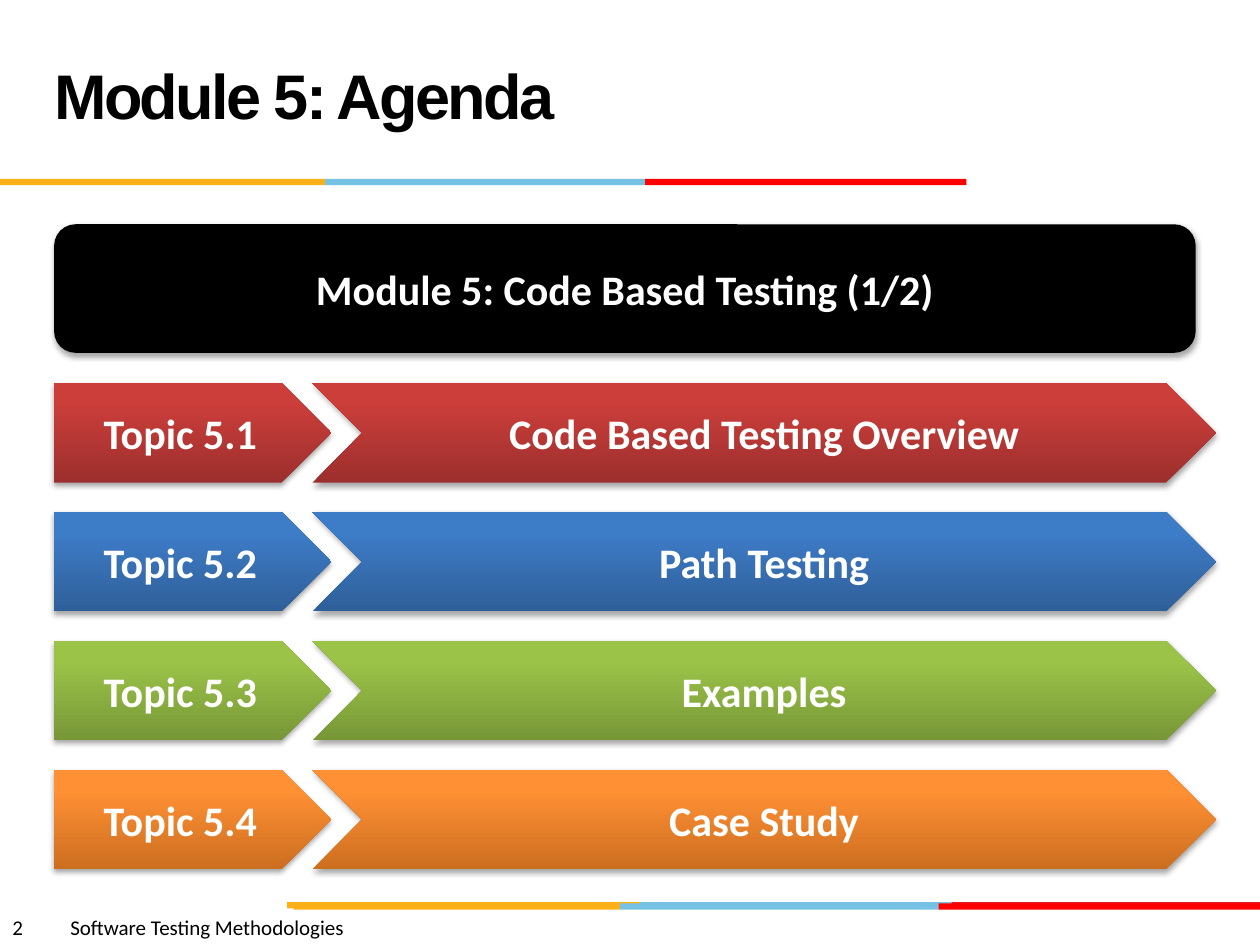
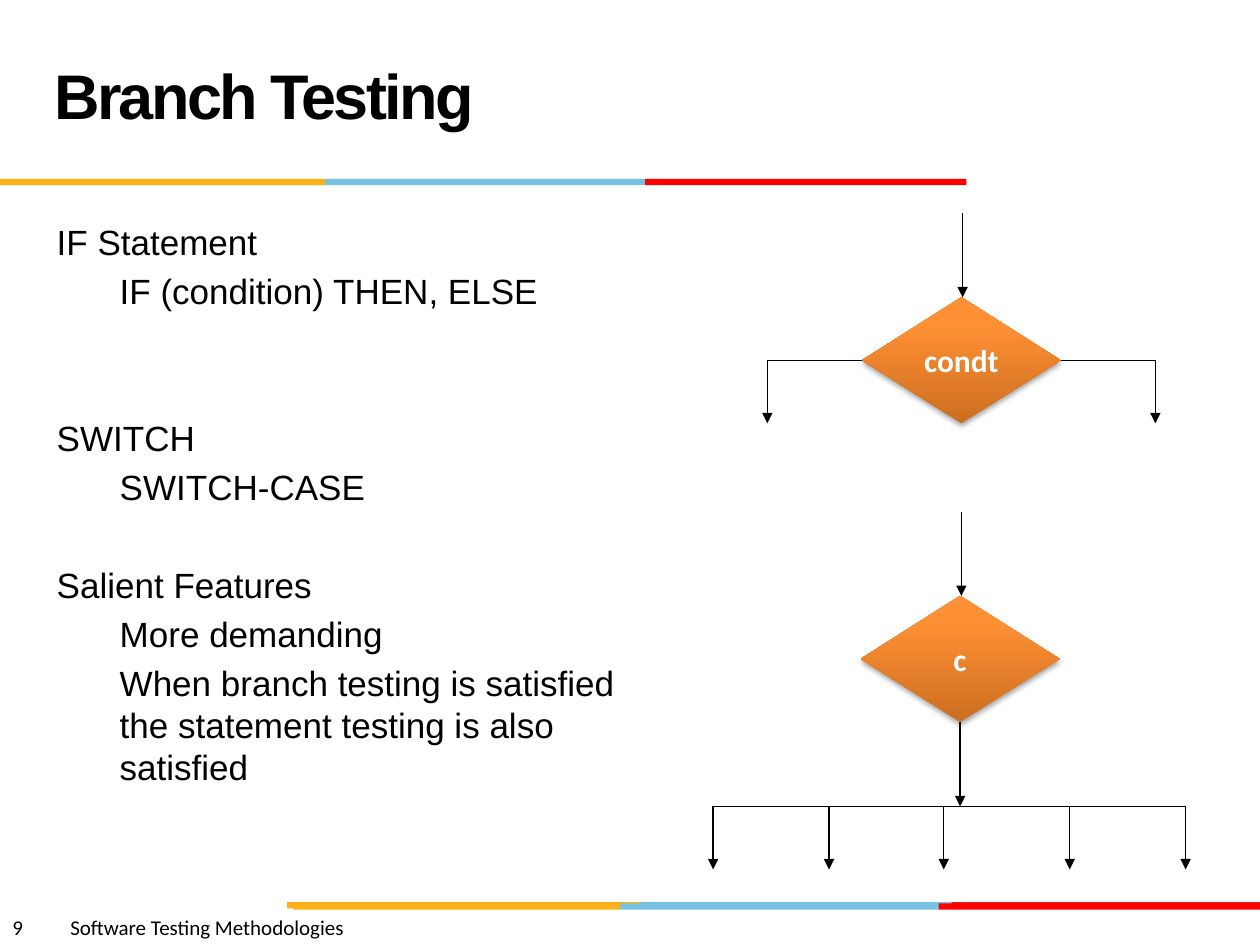
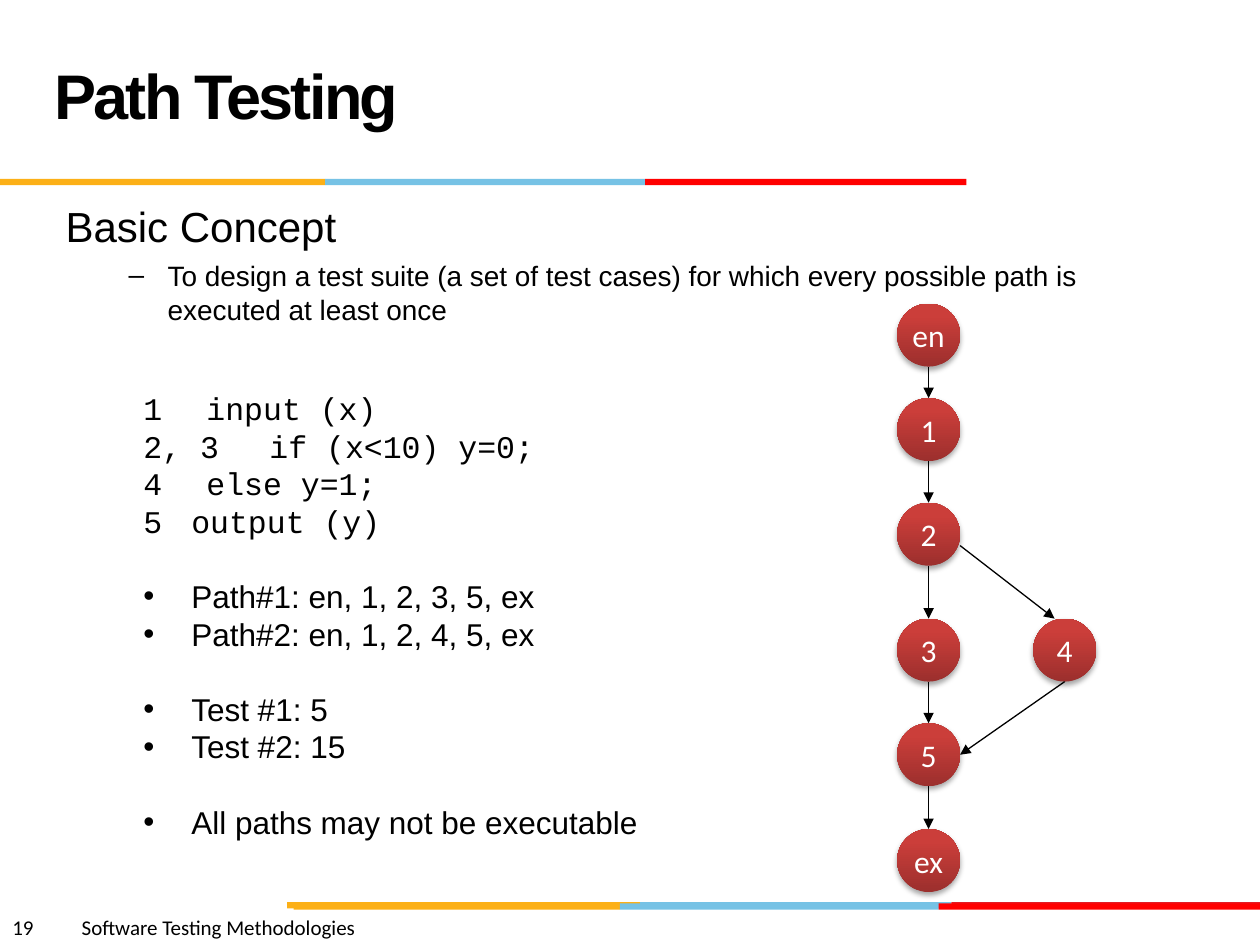
from itertools import pairwise

from lxml.etree import SubElement
from pptx import Presentation
from pptx.dml.color import RGBColor
from pptx.enum.shapes import MSO_CONNECTOR as Line, MSO_SHAPE as Shape
from pptx.enum.text import MSO_ANCHOR as Anchor, MSO_AUTO_SIZE as Fit, PP_ALIGN as Align
from pptx.oxml.ns import qn
from pptx.util import Inches, Pt

BLACK, WHITE = "000000", "FFFFFF"
GOLD, SKY, RED = "FCB017", "76C2E5", "FF0000"
# Dark and light end of each gradient
BRICK = ("9C2F2D", "CB3E3A")
BLUE = ("2F5F99", "3D7CC7")
GREEN = ("779737", "9BC348")
ORANGE = ("CC6E20", "FF9034")

HEAD = {"size": 20, "line": 24}
SUB = {"size": 20, "line": 24, "level": 1, "left": 0.5}
CODE = {"size": 18, "line": 21.5, "font": "Courier New"}
ITEM = {"size": 18, "line": 21.5, "left": 0.38, "hang": 0.38, "bullet": "•"}


def rgb(code):
    return RGBColor.from_string(code)


def inches(*sizes):
    return [Inches(size) for size in sizes]


def style(para, size, font, color=BLACK, bold=False):
    for run in para.runs:
        run.font.size = Pt(size)
        run.font.name = font
        run.font.bold = bold
        run.font.color.rgb = rgb(color)


def add_tab(props, at):
    tabs = SubElement(props, qn("a:tabLst"))
    SubElement(tabs, qn("a:tab"), pos=str(Inches(at)), algn="l")


def write(para, text, gap=0, size=18, line=21.5, font="Arial", level=0,
          left=0, hang=0, bullet=None, start=None, tab=None):
    """Set one list paragraph; gap and line are in points."""
    para.text = text
    para.level = level
    para.alignment = Align.LEFT
    para.line_spacing = Pt(line)
    para.space_before = Pt(gap)
    props = para._p.get_or_add_pPr()
    props.set("marL", str(Inches(left)))
    props.set("indent", str(-Inches(hang)))
    if bullet:
        SubElement(props, qn("a:buFont"), typeface="Arial")
        SubElement(props, qn("a:buChar"), char=bullet)
    elif start:
        SubElement(props, qn("a:buAutoNum"), type="arabicPlain", startAt=str(start))
    else:
        SubElement(props, qn("a:buNone"))
    if tab:
        add_tab(props, tab)
    style(para, size, font)


def write_list(box, rows):
    """Fill a box from rows of text, gap before and look."""
    frame = box.text_frame
    frame.word_wrap = True
    frame.auto_size = Fit.NONE
    frame.vertical_anchor = Anchor.TOP
    for i, (text, gap, look) in enumerate(rows):
        para = frame.add_paragraph() if i else frame.paragraphs[0]
        write(para, text, gap, **look)


def place(box, left, top, width, height):
    box.left, box.top, box.width, box.height = inches(left, top, width, height)
    return box


def add_block(slide, kind, box, text, fill, size=24, bold=True, wrap=True):
    """Add a shadowed shape with a label; fill is a colour or a gradient pair."""
    shape = slide.shapes.add_shape(kind, *inches(*box))
    if isinstance(fill, str):
        shape.fill.solid()
        shape.fill.fore_color.rgb = rgb(fill)
    else:
        shape.fill.gradient()
        shape.fill.gradient_angle = 90
        for stop, spot, color in zip(shape.fill.gradient_stops, (0, 0.8), fill):
            stop.position = spot
            stop.color.rgb = rgb(color)
    shape.line.fill.background()
    shape.shadow.inherit = False
    effects = shape._element.spPr.find(qn("a:effectLst"))
    shade = SubElement(effects, qn("a:outerShdw"), blurRad=str(Pt(3.1)),
                       dist=str(Pt(1.8)), dir="5400000", rotWithShape="0")
    tint = SubElement(shade, qn("a:srgbClr"), val=BLACK)
    SubElement(tint, qn("a:alpha"), val="35000")
    frame = shape.text_frame
    frame.word_wrap = wrap
    frame.vertical_anchor = Anchor.MIDDLE
    para = frame.paragraphs[0]
    para.text = text
    para.alignment = Align.CENTER
    style(para, size, "Calibri", WHITE, bold)


def add_line(slide, start, end, arrow=True):
    line = slide.shapes.add_connector(Line.STRAIGHT, *inches(*start, *end))
    line.line.color.rgb = rgb(BLACK)
    line.line.width = Pt(0.75)
    props = line._element.spPr
    if arrow:
        SubElement(props.find(qn("a:ln")), qn("a:tailEnd"), type="triangle")
    SubElement(props, qn("a:effectLst"))


def add_band(slide, top, edges, last=RED):
    for (left, right), color in zip(pairwise(edges), (GOLD, SKY, last)):
        bar = slide.shapes.add_shape(Shape.RECTANGLE, *inches(left, top, right - left, 0.05))
        bar.fill.solid()
        bar.fill.fore_color.rgb = rgb(color)
        bar.line.fill.background()
        bar.shadow.inherit = False


def add_footer(slide, number):
    box = slide.shapes.add_textbox(*inches(0, 7.21, 5, 0.3))
    box.text_frame.word_wrap = True
    para = box.text_frame.paragraphs[0]
    para.text = f"{number}\tSoftware Testing Methodologies"
    add_tab(para._p.get_or_add_pPr(), 0.37 + 0.09 * len(number))
    style(para, 12, "Calibri")


def add_title(slide, text):
    title = place(slide.shapes.title, 0.33, 0.17, 6.92, 1.25)
    frame = title.text_frame
    frame.text = text
    frame.auto_size = Fit.NONE
    frame.vertical_anchor = Anchor.MIDDLE
    para = frame.paragraphs[0]
    para.alignment = Align.LEFT
    para.line_spacing = Pt(36)
    style(para, 36, "Arial", bold=True)
    para.runs[0]._r.get_or_add_rPr().set("spc", "-150")


def new_slide(deck, layout, number, title):
    slide = deck.slides.add_slide(deck.slide_layouts[layout])
    add_band(slide, 7.16, (2.28, 5.08, 7.55, 10), "E31C24")
    add_band(slide, 7.17, (2.33, 4.92, 7.45, 10))
    add_band(slide, 1.42, (0, 2.58, 5.12, 7.67))
    add_footer(slide, number)
    add_title(slide, title)
    return slide


def add_agenda(slide, left, top):
    topics = (("Code Based Testing Overview", BRICK), ("Path Testing", BLUE),
              ("Examples", GREEN), ("Case Study", ORANGE))
    for i, (topic, fill) in enumerate(topics):
        y = top + 1.26 + i * 1.023
        add_block(slide, Shape.PENTAGON, (left, y, 2.2, 0.79), f"Topic 5.{i + 1}", fill)
        add_block(slide, Shape.CHEVRON, (left + 2.05, y, 7.17, 0.79), topic, fill)
    add_block(slide, Shape.ROUNDED_RECTANGLE, (left, top, 9.06, 1.02),
              "Module 5: Code Based Testing (1/2)", BLACK)


def add_choice(slide, left, top, text):
    """Add a decision diamond with an arrow into its top."""
    add_block(slide, Shape.FLOWCHART_DECISION, (left, top, 1.58, 1), text, ORANGE, 18, wrap=False)
    add_line(slide, (left + 0.8, top - 0.67), (left + 0.8, top))


def add_drop(slide, x, y):
    add_line(slide, (x, y), (x, y + 0.5))


def add_if(slide, left, top):
    add_choice(slide, left, top, "condt")
    y = top + 0.5
    for side, end in ((left, left - 0.75), (left + 1.58, left + 2.33)):
        add_line(slide, (side, y), (end, y), arrow=False)
        add_drop(slide, end, y)


def add_switch(slide, left, top):
    add_choice(slide, left, top, "c")
    y = top + 1.67
    add_line(slide, (left + 0.79, top + 1), (left + 0.79, y))
    cases = [left + shift for shift in (-1.17, -0.25, 0.66, 1.66, 2.58)]
    add_line(slide, (cases[0], y), (cases[-1], y), arrow=False)
    for x in cases:
        add_drop(slide, x, y)


def add_graph(slide, left, top):
    size, mid = 0.5, left + 0.25
    chain = {"en": 0, "1": 0.75, "2": 1.58, "3": 2.5, "5": 3.33, "ex": 4.17}
    nodes = [(name, left, top + y) for name, y in chain.items()]
    nodes.append(("4", left + 1.08, top + chain["3"]))
    for name, x, y in nodes:
        add_block(slide, Shape.FLOWCHART_CONNECTOR, (x, y, size, size), name, BRICK,
                  18, bold=False, wrap=False)
    for above, below in pairwise(chain.values()):
        add_line(slide, (mid, top + above + size), (mid, top + below))
    side, fork = left + size, top + chain["3"]
    add_line(slide, (side, top + 1.92), (left + 1.25, fork))
    add_line(slide, (left + 1.33, fork + size), (side, top + chain["5"] + 0.25))


def agenda_slide(deck):
    slide = new_slide(deck, 5, "2", "Module 5: Agenda")
    add_agenda(slide, 0.43, 1.78)


def branch_slide(deck):
    slide = new_slide(deck, 1, "9", "Branch Testing")
    body = place(slide.placeholders[1], 0.35, 1.7, 4.75, 4.84)
    write_list(body, (
        ("IF Statement", 0, HEAD),
        ("IF (condition) THEN, ELSE", 4, SUB),
        ("SWITCH", 60, HEAD),
        ("SWITCH-CASE", 4, SUB),
        ("Salient Features", 32, HEAD),
        ("More demanding", 4, SUB),
        ("When branch testing is satisfied the statement testing is also satisfied", 4, SUB),
    ))
    add_if(slide, 6.84, 2.36)
    add_switch(slide, 6.83, 4.73)


def path_slide(deck):
    slide = new_slide(deck, 1, "19", "Path Testing")
    body = place(slide.placeholders[1], 0.42, 1.54, 9.08, 1.5)
    aim = {"size": 16, "line": 19.4, "level": 1, "left": 0.81, "hang": 0.31, "bullet": "–"}
    write_list(body, (
        ("Basic Concept", 0, {"size": 24, "line": 28.8}),
        ("To design a test suite (a set of test cases) for which every possible path is "
         "executed at least once", 4, aim),
    ))
    steps = slide.shapes.add_textbox(*inches(1.04, 3.04, 4.3, 3.7))
    write_list(steps, (
        ("1\tinput (x)", 0, CODE | {"tab": 0.75}),
        ("2, 3\tif (x<10) y=0;", 0, CODE | {"tab": 0.75}),
        ("4\telse y=1;", 0, CODE | {"tab": 1.05}),
        ("output (y)", 0, CODE | {"left": 0.38, "hang": 0.38, "start": 5}),
        ("Path#1: en, 1, 2, 3, 5, ex", 21.5, ITEM),
        ("Path#2: en, 1, 2, 4, 5, ex", 0, ITEM),
        ("Test #1: 5", 21.5, ITEM),
        ("Test #2: 15", 0, ITEM),
        ("All paths may not be executable", 21.5, ITEM),
    ))
    add_graph(slide, 7.12, 2.41)


def main():
    deck = Presentation()
    deck.slide_width, deck.slide_height = inches(10, 7.5)
    agenda_slide(deck)
    branch_slide(deck)
    path_slide(deck)
    deck.save("out.pptx")


if __name__ == "__main__":
    main()
